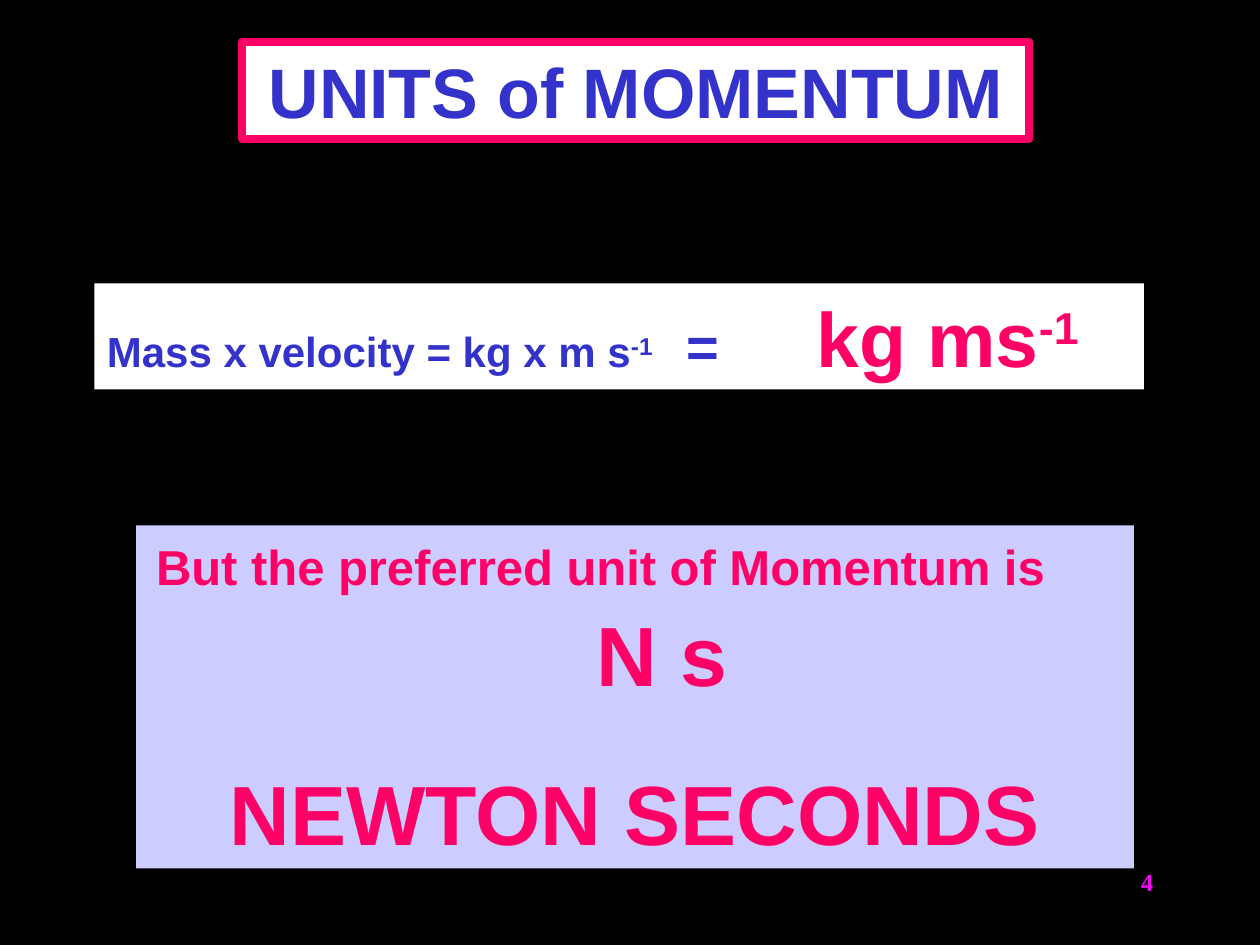
"""Build the slide on the units of momentum."""
from dataclasses import dataclass

import pptx
import pptx.dml.color
import pptx.enum.shapes
import pptx.enum.text
import pptx.oxml
import pptx.oxml.ns
import pptx.util

ALIGN = pptx.enum.text.PP_ALIGN
WIDTH, HEIGHT = pptx.util.Inches(10), pptx.util.Inches(7.5)


@dataclass(frozen=True)
class Theme:
    """Colours, fonts and type sizes of the slide."""
    background: str = "000000"
    paper: str = "FFFFFF"
    lilac: str = "CCCCFF"
    blue: str = "3333CC"
    pink: str = "FF0066"
    magenta: str = "FF00FF"
    sans: str = "Arial"
    serif: str = "Times New Roman"
    number: int = 14
    formula: int = 24
    lead: int = 28
    equals: int = 32
    title: int = 40
    unit: int = 44
    answer: int = 48


THEME = Theme()


def rgb(value):
    """Return a colour object for a hex string."""
    return pptx.dml.color.RGBColor.from_string(value)


def share(left, top, width, height):
    """Turn shares of the slide's size into lengths."""
    return (int(left * WIDTH), int(top * HEIGHT),
            int(width * WIDTH), int(height * HEIGHT))


def place(target, box):
    """Move a placeholder to a box."""
    target.left, target.top, target.width, target.height = share(*box)


def paint(target, colour):
    """Fill a shape with one colour."""
    target.fill.solid()
    target.fill.fore_color.rgb = rgb(colour)


def prepare(frame, anchor=pptx.enum.text.MSO_ANCHOR.BOTTOM):
    """Set wrapping and anchoring, and return the first paragraph."""
    frame.word_wrap = True
    frame.auto_size = pptx.enum.text.MSO_AUTO_SIZE.NONE
    frame.vertical_anchor = anchor
    return frame.paragraphs[0]


def add_panel(slide, box, colour):
    """Add a borderless filled panel and return its text frame."""
    panel = slide.shapes.add_shape(
        pptx.enum.shapes.MSO_SHAPE.RECTANGLE, *share(*box))
    panel.shadow.inherit = False
    paint(panel, colour)
    panel.line.fill.background()
    return panel.text_frame


def add_run(paragraph, text, size, colour, face=THEME.sans, raised=False):
    """Add one bold run, raised if it is an exponent."""
    run = paragraph.add_run()
    run.text = text
    run.font.size = pptx.util.Pt(size)
    run.font.name = face
    run.font.bold = True
    run.font.color.rgb = rgb(colour)
    if raised:
        run._r.get_or_add_rPr().set("baseline", "30000")


def set_tabs(paragraph, stops):
    """Give a paragraph left tab stops, in inches."""
    tabs = pptx.oxml.parse_xml(
        f'<a:tabLst {pptx.oxml.ns.nsdecls("a")}>'
        + "".join(f'<a:tab pos="{pptx.util.Inches(stop)}" algn="l"/>' for stop in stops)
        + "</a:tabLst>")
    paragraph._p.get_or_add_pPr().append(tabs)


def indent(paragraph, inches):
    """Set the left margin of a paragraph."""
    paragraph._p.get_or_add_pPr().set("marL", str(pptx.util.Inches(inches)))


def add_heading(slide):
    """Fill the title placeholder."""
    heading = slide.shapes.title
    place(heading, (0.192, 0.044, 0.625, 0.103))
    paint(heading, THEME.paper)
    heading.line.color.rgb = rgb(THEME.pink)
    heading.line.width = pptx.util.Pt(4.5)
    line = prepare(heading.text_frame)
    line.alignment = ALIGN.CENTER
    add_run(line, "UNITS of MOMENTUM", THEME.title, THEME.blue)


def add_formula(slide):
    """Add the derivation of the unit."""
    line = prepare(add_panel(slide, (0.075, 0.3, 0.833, 0.112), THEME.paper))
    line.alignment = ALIGN.LEFT
    set_tabs(line, (4.6, 5.63))
    for text, size, colour, raised in (
            ("Mass x velocity = kg x m s", THEME.formula, THEME.blue, False),
            ("-1", THEME.formula, THEME.blue, True),
            ("\t=\t", THEME.equals, THEME.blue, False),
            ("kg ms", THEME.unit, THEME.pink, False),
            ("-1", THEME.unit, THEME.pink, True)):
        add_run(line, text, size, colour, raised=raised)


def add_preferred_unit(slide):
    """Add the panel with the preferred unit."""
    frame = add_panel(slide, (0.108, 0.556, 0.792, 0.363), THEME.lilac)
    line = prepare(frame)
    for text, size, align, margin, before in (
            ("But the preferred unit of Momentum is", THEME.lead, ALIGN.LEFT, 0.06, 0),
            ("N s", THEME.answer, ALIGN.CENTER, 0.42, 4.5),
            ("NEWTON SECONDS", THEME.answer, ALIGN.CENTER, 0, 33)):
        line = line if before == 0 else frame.add_paragraph()
        line.alignment = align
        line.space_before = pptx.util.Pt(before)
        indent(line, margin)
        add_run(line, text, size, THEME.pink)


def add_page_number(slide):
    """Add the page number."""
    page = slide.shapes.add_textbox(*share(0.717, 0.911, 0.208, 0.067))
    line = prepare(page.text_frame, pptx.enum.text.MSO_ANCHOR.TOP)
    line.alignment = ALIGN.RIGHT
    add_run(line, "4", THEME.number, THEME.magenta, THEME.serif)


def main():
    """Build and save the slide."""
    deck = pptx.Presentation()
    deck.slide_width, deck.slide_height = WIDTH, HEIGHT
    slide = deck.slides.add_slide(deck.slide_layouts.get_by_name("Title Only"))
    paint(slide.background, THEME.background)
    add_heading(slide)
    add_formula(slide)
    add_preferred_unit(slide)
    add_page_number(slide)
    deck.save("out.pptx")


if __name__ == "__main__":
    main()
